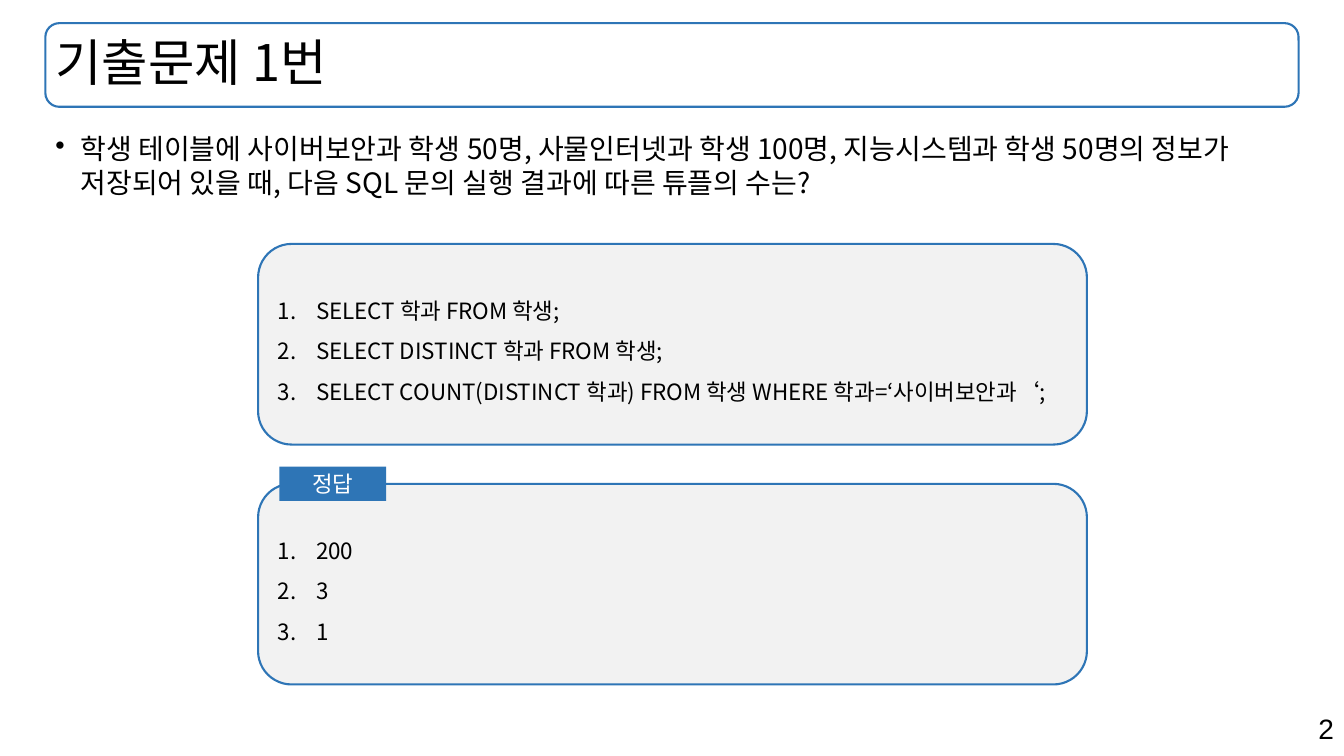
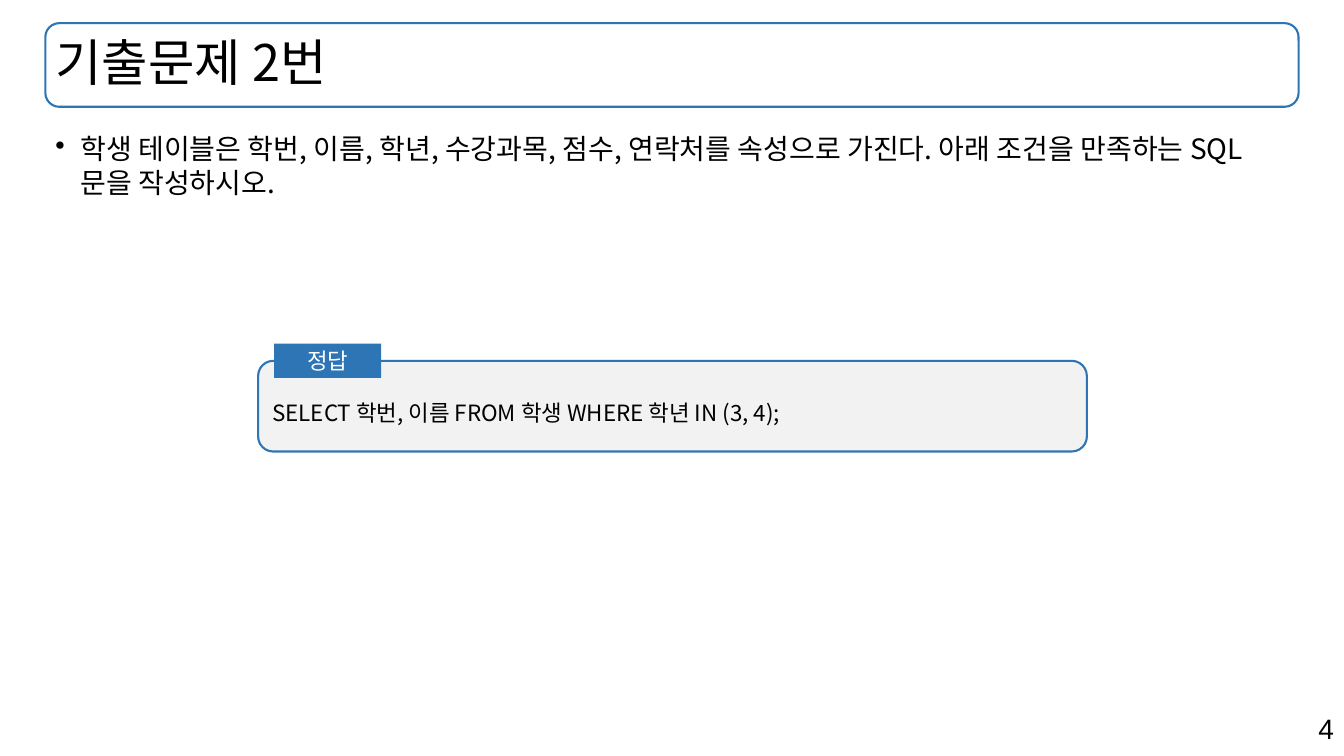
import pptx
import pptx.util
import pptx.dml.color
import pptx.enum.shapes
import pptx.enum.text
import pptx.oxml.ns
from lxml import etree

Inches, Pt = pptx.util.Inches, pptx.util.Pt
SHAPE = pptx.enum.shapes.MSO_SHAPE
ALIGN = pptx.enum.text.PP_ALIGN
ANCHOR = pptx.enum.text.MSO_ANCHOR

BLUE, GREY, BLACK, WHITE = "2E75B6", "F2F2F2", "000000", "FFFFFF"
KOREAN = "Noto Sans CJK KR"
LEFT, WIDTH = 0.45, 12.43
PANEL_LEFT, PANEL_WIDTH = 2.56, 8.22
TAG_WIDTH, TAG_HEIGHT = 1.06, 0.34

TITLE = dict(size=36, line_spacing=0.9)
QUESTION = dict(size=20, bullet=("buChar", "char", "•"), indent=0.25)
CODE = dict(size=16, line_spacing=1.5)
NUMBERED = dict(CODE, bullet=("buAutoNum", "type", "arabicPeriod"), indent=0.38)
TAG = dict(size=16, color=WHITE, alignment=ALIGN.CENTER)
NUMBER = dict(size=20, font="Arial", alignment=ALIGN.RIGHT)

SLIDES = [
    dict(
        number="2",
        title="기출문제 1번",
        question="학생 테이블에 사이버보안과 학생 50명, 사물인터넷과 학생 100명, "
                 "지능시스템과 학생 50명의 정보가 저장되어 있을 때, "
                 "다음 SQL 문의 실행 결과에 따른 튜플의 수는?",
        panels=[
            dict(top=2.42, height=1.99, style=NUMBERED, lines=[
                "SELECT 학과 FROM 학생;",
                "SELECT DISTINCT 학과 FROM 학생;",
                "SELECT COUNT(DISTINCT 학과) FROM 학생 WHERE 학과=‘사이버보안과‘;",
            ]),
            dict(top=4.8, height=1.99, style=NUMBERED, lines=["200", "3", "1"],
                 tag="정답", tag_left=2.77),
        ],
    ),
    dict(
        number="4",
        title="기출문제 2번",
        question="학생 테이블은 학번, 이름, 학년, 수강과목, 점수, 연락처를 속성으로 가진다. "
                 "아래 조건을 만족하는 SQL문을 작성하시오.",
        panels=[
            dict(top=3.58, height=0.9, style=CODE,
                 lines=["SELECT 학번, 이름 FROM 학생 WHERE 학년 IN (3, 4);"],
                 tag="정답", tag_left=2.72),
        ],
    ),
]


def rgb(value):
    return pptx.dml.color.RGBColor.from_string(value)


def write(sp, lines, size, font=KOREAN, color=BLACK, alignment=ALIGN.LEFT,
          line_spacing=1.0, bullet=None, indent=0, anchor=ANCHOR.MIDDLE):
    tf = sp.text_frame
    tf.word_wrap = True
    tf.vertical_anchor = anchor
    for i, line in enumerate(lines):
        p = tf.paragraphs[0] if i == 0 else tf.add_paragraph()
        for name, value in dict(alignment=alignment, line_spacing=line_spacing).items():
            setattr(p, name, value)
        if bullet:
            tag, key, value = bullet
            pPr = p._p.get_or_add_pPr()
            pPr.set("marL", str(Inches(indent)))
            pPr.set("indent", str(-Inches(indent)))
            etree.SubElement(pPr, pptx.oxml.ns.qn("a:" + tag)).set(key, value)
        r = p.add_run()
        r.text = line
        for name, value in dict(size=Pt(size), name=font).items():
            setattr(r.font, name, value)
        r.font.color.rgb = rgb(color)
        etree.SubElement(r._r.get_or_add_rPr(), pptx.oxml.ns.qn("a:ea")).set("typeface", font)


def add_box(s, kind, left, top, width, height, fill=None, line=None):
    sp = s.shapes.add_shape(kind, Inches(left), Inches(top), Inches(width), Inches(height))
    sp.shadow.inherit = False
    if fill:
        sp.fill.solid()
        sp.fill.fore_color.rgb = rgb(fill)
    else:
        sp.fill.background()
    if line:
        sp.line.color.rgb = rgb(line)
        sp.line.width = Pt(1.5)
    else:
        sp.line.fill.background()
    return sp


def add_text(s, left, top, width, height, text, **style):
    sp = s.shapes.add_textbox(Inches(left), Inches(top), Inches(width), Inches(height))
    write(sp, [text], anchor=ANCHOR.TOP, **style)


def add_panel(s, top, height, style, lines, tag=None, tag_left=0):
    sp = add_box(s, SHAPE.ROUNDED_RECTANGLE, PANEL_LEFT, top, PANEL_WIDTH, height, GREY, BLUE)
    write(sp, lines, **style)
    if tag:
        sp = add_box(s, SHAPE.RECTANGLE, tag_left, top - TAG_HEIGHT / 2,
                     TAG_WIDTH, TAG_HEIGHT, BLUE)
        write(sp, [tag], **TAG)


def add_slide(prs, number, title, question, panels):
    s = prs.slides.add_slide(prs.slide_layouts[6])
    add_text(s, 9.43, 7.01, 3.9, 0.44, number, **NUMBER)
    sp = add_box(s, SHAPE.ROUNDED_RECTANGLE, LEFT, 0.23, WIDTH, 0.83, line=BLUE)
    sp.text_frame.margin_left = Inches(0.06)
    write(sp, [title], **TITLE)
    add_text(s, LEFT, 1.26, WIDTH, 5.53, question, **QUESTION)
    for panel in panels:
        add_panel(s, **panel)


def main():
    prs = pptx.Presentation()
    prs.slide_width, prs.slide_height = Inches(13.33), Inches(7.5)
    for content in SLIDES:
        add_slide(prs, **content)
    prs.save("out.pptx")


if __name__ == "__main__":
    main()
